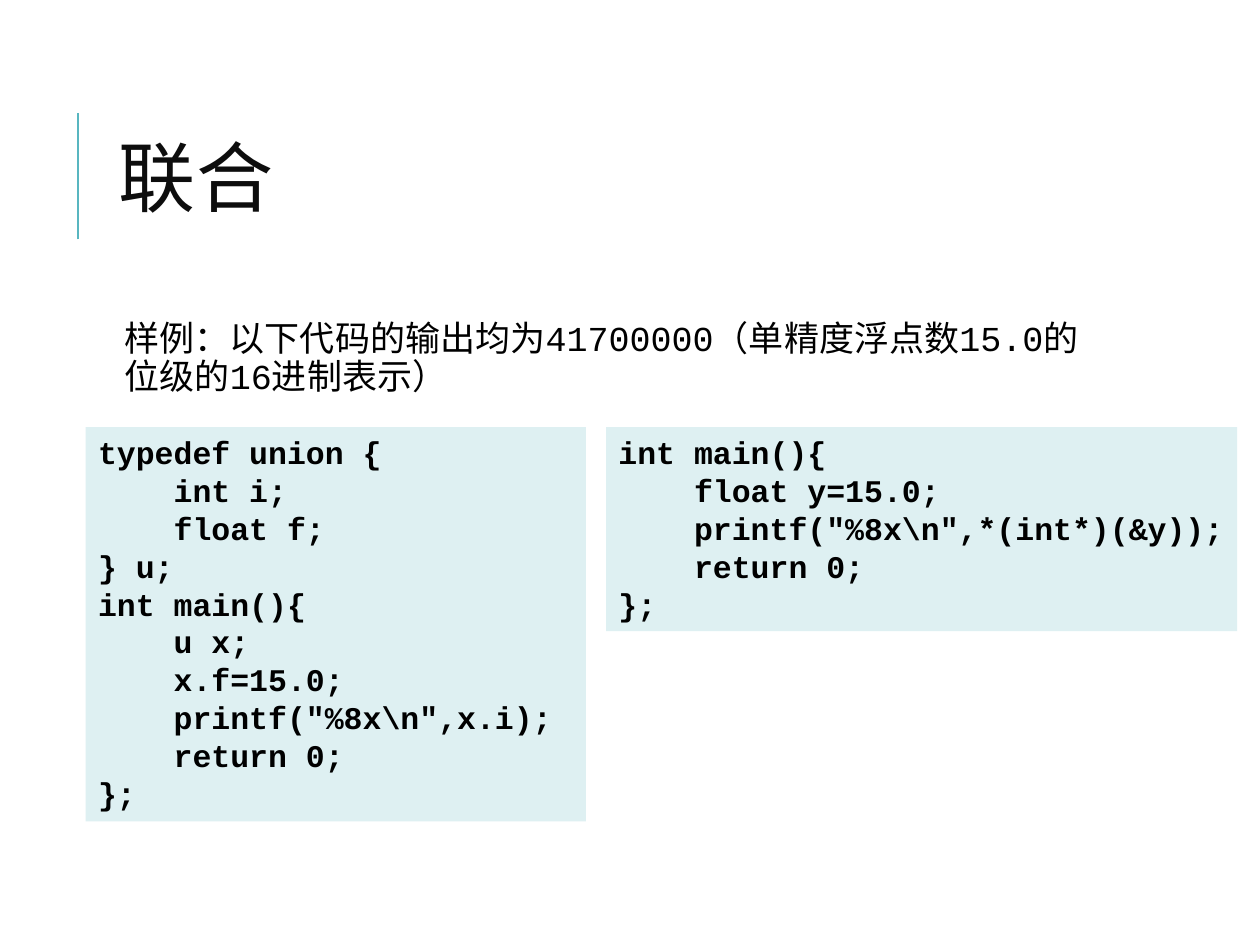
from dataclasses import dataclass

from lxml import etree
from pptx import Presentation
from pptx import util as u
from pptx.dml.color import RGBColor
from pptx.enum import shapes, text
from pptx.oxml import ns


@dataclass(frozen=True)
class Theme:
    font: str = "Courier New"
    accent: RGBColor = RGBColor(0x58, 0xB6, 0xC0)
    panel: RGBColor = RGBColor(0xDE, 0xF0, 0xF2)
    heading: RGBColor = RGBColor(0x0D, 0x0D, 0x0D)
    ink: RGBColor = RGBColor(0, 0, 0)
    title_size: int = 44
    body_size: int = 20
    code_size: int = 18


THEME = Theme()

UNION_CODE = r"""typedef union {
    int i;
    float f;
} u;
int main(){
    u x;
    x.f=15.0;
    printf("%8x\n",x.i);
    return 0;
};"""

POINTER_CODE = r"""int main(){
    float y=15.0;
    printf("%8x\n",*(int*)(&y));
    return 0;
};"""


def style(para, size, color, bold=False):
    para.font.name = THEME.font
    para.font.size = u.Pt(size)
    para.font.color.rgb = color
    para.font.bold = bold


def add_text(page, words, left, top, width, height):
    box = page.shapes.add_textbox(
        u.Inches(left), u.Inches(top), u.Inches(width), u.Inches(height))
    box.text_frame.word_wrap = True
    para = box.text_frame.paragraphs[0]
    para.text = words
    return box.text_frame, para


def add_title(page, words):
    frame, para = add_text(page, words, 0.84, 0.64, 7.97, 1.64)
    frame.vertical_anchor = text.MSO_ANCHOR.MIDDLE
    style(para, THEME.title_size, THEME.heading)
    para.line_spacing = 0.8
    # Letter spacing of one point
    para.runs[0].font._element.set("spc", "100")


def add_body(page, words):
    frame, para = add_text(page, words, 0.84, 2.5, 7.97, 0.89)
    frame.margin_left = u.Inches(0.15)
    frame.margin_right = frame.margin_top = frame.margin_bottom = u.Inches(0.05)
    style(para, THEME.body_size, THEME.ink)
    para.line_spacing = 0.9
    para.space_before = u.Pt(12)
    para.space_after = u.Pt(2)


def add_accent_line(page):
    line = page.shapes.add_connector(
        shapes.MSO_CONNECTOR.STRAIGHT,
        u.Inches(0.62), u.Inches(1.9), u.Inches(0.62), u.Inches(0.9))
    line.line.color.rgb = THEME.accent
    line.line.width = u.Pt(1.5)
    etree.SubElement(line._element.spPr, ns.qn("a:effectLst"))


def add_code(page, code, left, width, height):
    panel = page.shapes.add_shape(
        shapes.MSO_SHAPE.RECTANGLE,
        u.Inches(left), u.Inches(3.39), u.Inches(width), u.Inches(height))
    panel.shadow.inherit = False
    panel.fill.solid()
    panel.fill.fore_color.rgb = THEME.panel
    panel.line.fill.background()
    frame = panel.text_frame
    frame.word_wrap = True
    frame.auto_size = text.MSO_AUTO_SIZE.SHAPE_TO_FIT_TEXT
    frame.vertical_anchor = text.MSO_ANCHOR.TOP
    frame.text = code
    for para in frame.paragraphs:
        para.alignment = text.PP_ALIGN.LEFT
        style(para, THEME.code_size, THEME.ink, bold=True)


def main():
    deck = Presentation()
    deck.slide_width, deck.slide_height = u.Inches(10), u.Inches(7.5)
    page = deck.slides.add_slide(deck.slide_layouts[6])

    # Heading with its accent line
    add_accent_line(page)
    add_title(page, "联合")

    # Introduction
    add_body(page, "样例：以下代码的输出均为41700000（单精度浮点数15.0的位级的16进制表示）")

    # Two programs side by side
    add_code(page, UNION_CODE, 0.68, 3.97, 3.13)
    add_code(page, POINTER_CODE, 4.81, 5.01, 1.62)

    deck.save("out.pptx")


if __name__ == "__main__":
    main()
